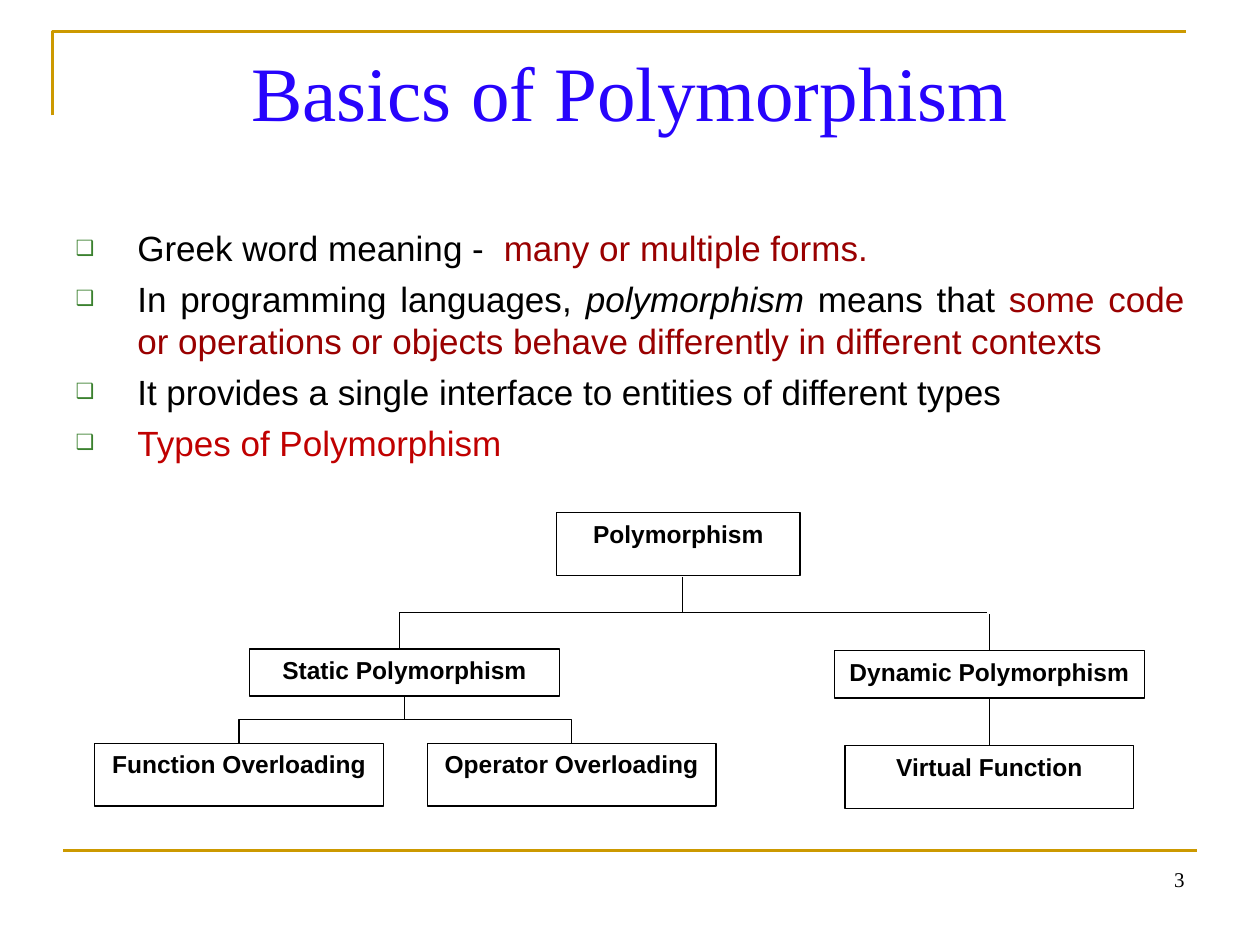
from dataclasses import dataclass

from lxml import etree
from pptx import Presentation
from pptx.dml.color import RGBColor
from pptx.enum.shapes import MSO_CONNECTOR, MSO_SHAPE
from pptx.enum.text import MSO_ANCHOR, MSO_AUTO_SIZE, PP_ALIGN
from pptx.oxml.ns import qn
from pptx.util import Pt

RECTANGLE = MSO_SHAPE.RECTANGLE
STRAIGHT = MSO_CONNECTOR.STRAIGHT
ELBOW = MSO_CONNECTOR.ELBOW
TOP = MSO_ANCHOR.TOP
NO_AUTOFIT = MSO_AUTO_SIZE.NONE
CENTER = PP_ALIGN.CENTER
RIGHT = PP_ALIGN.RIGHT
JUSTIFY = PP_ALIGN.JUSTIFY

BLACK = RGBColor(0x00, 0x00, 0x00)
WHITE = RGBColor(0xFF, 0xFF, 0xFF)
GOLD = RGBColor(0xCC, 0x99, 0x00)
TITLE_BLUE = RGBColor(0x27, 0x04, 0xFC)
DARK_RED = RGBColor(0x99, 0x00, 0x00)
RED = RGBColor(0xC0, 0x00, 0x00)
BULLET_GREEN = RGBColor(0x3B, 0x81, 0x2F)

SERIF = "Times New Roman"
SANS = "Arial"
INDENT = Pt(35.3)
THIN = 0.75
THICK = 1.5


@dataclass(frozen=True)
class Span:
    text: str
    color: RGBColor = BLACK
    italic: bool = False


@dataclass(frozen=True)
class Box:
    text: str
    center: float
    top: float
    width: float
    height: float

    @property
    def bottom(self) -> float:
        return self.top + self.height


@dataclass(frozen=True)
class Line:
    x1: float
    y1: float
    x2: float
    y2: float
    color: RGBColor = BLACK
    width: float = THIN


BULLETS = [
    [Span("Greek word meaning -  "), Span("many or multiple forms.", DARK_RED)],
    [
        Span("In programming languages, "),
        Span("polymorphism", italic=True),
        Span(" means that "),
        Span("some code or operations or objects behave differently in different contexts", DARK_RED),
    ],
    [Span("It provides a single interface to entities of different types")],
    [Span("Types of Polymorphism", RED)],
]

ROOT = Box("Polymorphism", 387.7, 293, 139, 36)
STATIC = Box("Static Polymorphism", 231.2, 370.8, 177, 27)
FUNCTION = Box("Function Overloading", 136.6, 424.7, 165, 36)
OPERATOR = Box("Operator Overloading", 326.6, 424.7, 165, 36)
DYNAMIC = Box("Dynamic Polymorphism", 565.4, 371.8, 177, 27)
VIRTUAL = Box("Virtual Function", 565.4, 426.2, 165, 36)

BRANCH_Y = 350
BRANCH_LEFT, BRANCH_MIDDLE, BRANCH_RIGHT = 228.2, 396, 563.8
STEM_X = 390.2
LINES = [
    Line(36, 486, 684, 486, GOLD, THICK),
    Line(BRANCH_LEFT, BRANCH_Y, BRANCH_MIDDLE, BRANCH_Y),
    Line(BRANCH_MIDDLE, BRANCH_Y, BRANCH_RIGHT, BRANCH_Y),
    Line(BRANCH_LEFT, BRANCH_Y, BRANCH_LEFT, STATIC.top),
    Line(STEM_X, ROOT.bottom + 1, STEM_X, BRANCH_Y),
]


def place(shape, left: float, top: float, width: float, height: float) -> None:
    shape.left, shape.top = Pt(left), Pt(top)
    shape.width, shape.height = Pt(width), Pt(height)


def format_paragraph(paragraph, alignment, font_name: str, size: float, color: RGBColor) -> None:
    paragraph.alignment = alignment
    paragraph.font.name = font_name
    paragraph.font.size = Pt(size)
    paragraph.font.color.rgb = color


def add_bullet(paragraph) -> None:
    properties = paragraph._p.get_or_add_pPr()
    properties.set("marL", str(INDENT))
    properties.set("indent", str(-INDENT))
    color = etree.SubElement(properties, qn("a:buClr"))
    etree.SubElement(color, qn("a:srgbClr"), val=str(BULLET_GREEN))
    etree.SubElement(properties, qn("a:buSzPct"), val="60000")
    etree.SubElement(properties, qn("a:buChar"), char="❑")


def fill_body(body) -> None:
    frame = body.text_frame
    frame.auto_size = NO_AUTOFIT
    frame.vertical_anchor = TOP
    for index, spans in enumerate(BULLETS):
        paragraph = frame.add_paragraph() if index else frame.paragraphs[0]
        paragraph.alignment = JUSTIFY
        paragraph.space_before = Pt(5)
        add_bullet(paragraph)
        paragraph.font.name = SANS
        paragraph.font.size = Pt(20)
        for span in spans:
            run = paragraph.add_run()
            run.text = span.text
            run.font.color.rgb = span.color
            if span.italic:
                run.font.italic = True


def add_box(slide, box: Box):
    shape = slide.shapes.add_shape(
        RECTANGLE, Pt(box.center - box.width / 2), Pt(box.top), Pt(box.width), Pt(box.height)
    )
    shape.shadow.inherit = False
    shape.fill.solid()
    shape.fill.fore_color.rgb = WHITE
    shape.line.color.rgb = BLACK
    shape.line.width = Pt(THIN)
    frame = shape.text_frame
    frame.text = box.text
    frame.vertical_anchor = TOP
    paragraph = frame.paragraphs[0]
    format_paragraph(paragraph, CENTER, SANS, 14, BLACK)
    paragraph.font.bold = True
    return shape


def add_line(slide, line: Line, kind=STRAIGHT):
    connector = slide.shapes.add_connector(kind, Pt(line.x1), Pt(line.y1), Pt(line.x2), Pt(line.y2))
    connector.line.color.rgb = line.color
    connector.line.width = Pt(line.width)
    etree.SubElement(connector._element.spPr, qn("a:effectLst"))
    return connector


def add_elbow(slide, parent: Box, child: Box) -> None:
    middle_x = (parent.center + child.center) / 2
    middle_y = (parent.bottom + child.top) / 2
    half_run = abs(child.center - parent.center) / 2
    half_drop = (child.top - parent.bottom) / 2
    goes_left = child.center < parent.center
    reach = -half_drop if goes_left else half_drop
    line = Line(middle_x + reach, middle_y - half_run, middle_x - reach, middle_y + half_run)
    connector = add_line(slide, line, ELBOW)
    quarter_turns = 1 if goes_left else 3
    connector._element.spPr.find(qn("a:xfrm")).set("rot", str(quarter_turns * 5400000))


def add_corner(slide) -> None:
    builder = slide.shapes.build_freeform(Pt(30), Pt(66))
    builder.add_line_segments([(Pt(30), Pt(18)), (Pt(678), Pt(18))], close=False)
    corner = builder.convert_to_shape()
    corner.shadow.inherit = False
    corner.fill.background()
    corner.line.color.rgb = GOLD
    corner.line.width = Pt(THICK)


def main() -> None:
    presentation = Presentation()
    presentation.slide_width, presentation.slide_height = Pt(720), Pt(540)
    slide = presentation.slides.add_slide(presentation.slide_layouts[1])

    add_corner(slide)
    title, body = slide.placeholders
    place(title, 36, 21.6, 648, 90)
    title.text_frame.text = "Basics of Polymorphism"
    title.text_frame.auto_size = NO_AUTOFIT
    title.text_frame.vertical_anchor = TOP
    format_paragraph(title.text_frame.paragraphs[0], CENTER, SERIF, 44, TITLE_BLUE)

    place(body, 36, 126, 648, 356.4)
    fill_body(body)

    number = slide.shapes.add_textbox(Pt(516), Pt(491.8), Pt(168), Pt(37.4))
    number.text_frame.word_wrap = True
    number.text_frame.text = "3"
    format_paragraph(number.text_frame.paragraphs[0], RIGHT, SERIF, 12, BLACK)

    for box in (ROOT, OPERATOR, FUNCTION, STATIC):
        add_box(slide, box)
    for child in (FUNCTION, OPERATOR):
        add_elbow(slide, STATIC, child)

    dynamic = add_box(slide, DYNAMIC)
    virtual = add_box(slide, VIRTUAL)
    link = add_line(slide, Line(DYNAMIC.center, DYNAMIC.bottom, VIRTUAL.center, VIRTUAL.top))
    link.begin_connect(dynamic, 2)
    link.end_connect(virtual, 0)
    drop = add_line(slide, Line(DYNAMIC.center, BRANCH_Y + 1, DYNAMIC.center, DYNAMIC.top))
    drop.end_connect(dynamic, 0)
    for line in LINES:
        add_line(slide, line)

    presentation.save("out.pptx")


if __name__ == "__main__":
    main()
